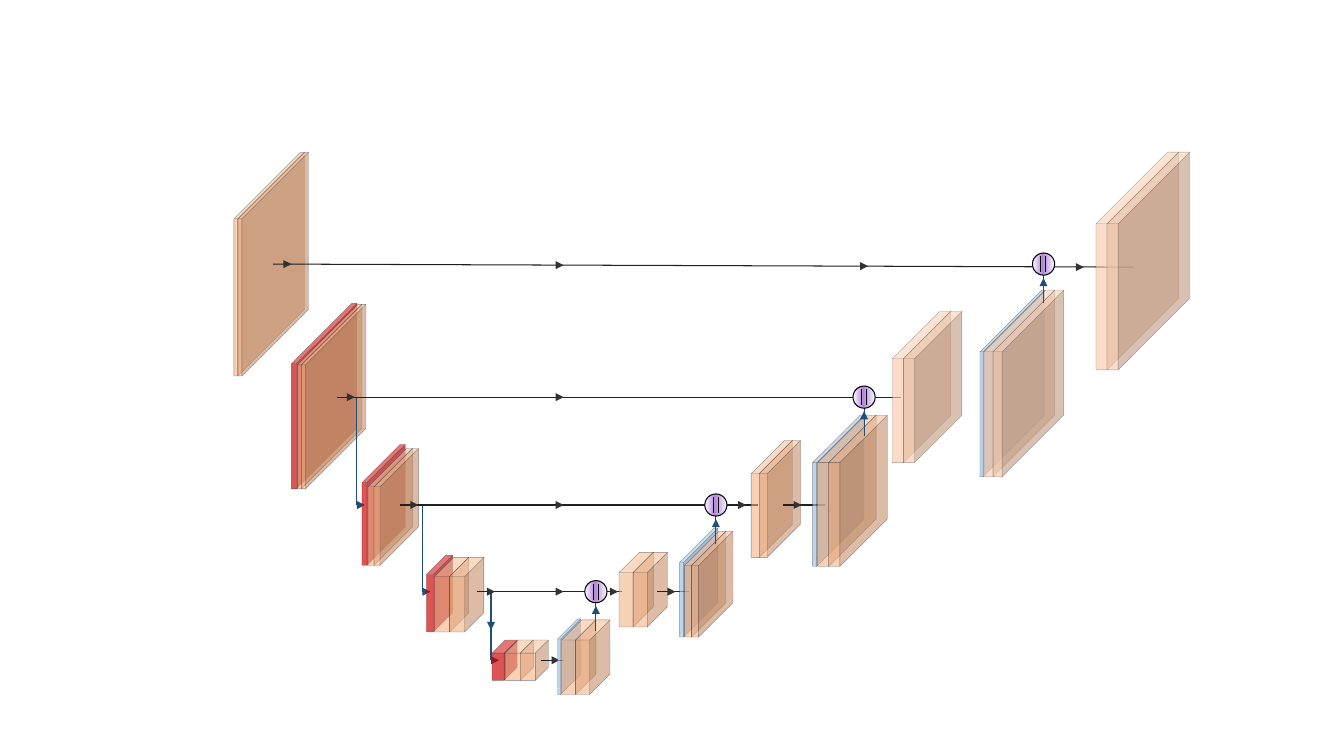
"""Build a slide with a U-shaped encoder-decoder network diagram."""
from copy import deepcopy
from dataclasses import dataclass
from enum import IntEnum
from typing import Optional

from lxml.etree import SubElement
from pptx import Presentation
from pptx.dml.color import RGBColor as RGB
from pptx.enum.shapes import MSO_CONNECTOR as Conn, MSO_SHAPE as Shp
from pptx.oxml.ns import qn
from pptx.util import Pt

PX = 9144
UP, RIGHT, DOWN = 0, 90, 180
HEAD, DISC = 8, 22
MIDWAY = 551


class Axis(IntEnum):
    """Height of the flow line of each level."""
    TOP = 262
    HIGH = 394
    MIDDLE = 501
    LOW = 587
    BOTTOM = 655


@dataclass(frozen=True)
class Stroke:
    color: str
    width: float = 0.25
    alpha: int = 100


@dataclass(frozen=True)
class Paint:
    color: str
    alpha: int
    edge: Stroke


@dataclass(frozen=True)
class Theme:
    pool: Paint = Paint("CC0000", 67, Stroke("202020", alpha=47))
    unpool: Paint = Paint("9DC3E6", 68, Stroke("202020", alpha=47))
    conv: Paint = Paint("F4B183", 58, Stroke("202020", alpha=52))
    soft: Paint = Paint("F8CBAD", 66, Stroke("000000", alpha=32))
    head: str = "323232"
    blue: str = "1F4E79"
    concat: tuple = ((0, "F7FAFD"), (0.54, "B584DA"), (1, "FFFFFF"))
    skip_wire: Stroke = Stroke("202020", 0.75)
    blue_wire: Stroke = Stroke("1F4E79", 0.75)
    ring: Stroke = Stroke("000000", 0)
    bar: Stroke = Stroke("000000", 0.4)


T = Theme()


@dataclass
class Stage:
    """Twin slabs, led by a thin slab that rises above them."""
    x: int
    y: int
    w: int
    h: int
    step: int
    paint: Paint = T.conv
    lead: Optional[Paint] = None
    gap: int = 0
    rise: int = 0


@dataclass
class Flow:
    """A wire along an axis, with a head near its start and others by place."""
    axis: Axis
    x1: int
    x2: int
    heads: tuple = ()
    fall: int = 0


@dataclass
class Drop:
    """A wire down to the next level."""
    x: int
    y1: Axis
    y2: Axis
    midway: bool = False


@dataclass
class Concat:
    """A concatenation node fed from below."""
    x: int
    axis: Axis


def set_alpha(sp, where: str, alpha: int) -> None:
    """Give the solid colour found at a place its opacity in percent."""
    color = sp._element.spPr.xpath(f"{where}a:solidFill/a:srgbClr")[0]
    SubElement(color, qn("a:alpha"), val=str(alpha * 1000))


def set_stroke(sp, stroke: Stroke) -> None:
    """Apply a stroke to a shape or connector."""
    sp.line.color.rgb = RGB.from_string(stroke.color)
    sp.line.width = Pt(stroke.width)
    set_alpha(sp, "./a:ln/", stroke.alpha)


def add_shape(shapes, kind: Shp, x: int, y: int, w: int, h: int, **fmt):
    """Add a shadowless preset shape with the given attributes."""
    sp = shapes.add_shape(kind, x * PX, y * PX, w * PX, h * PX)
    sp.shadow.inherit = False
    for name, value in fmt.items():
        setattr(sp, name, value)
    return sp


def add_slab(shapes, x: int, y: int, w: int, h: int, thick: int, paint: Paint) -> None:
    """Add a translucent slab of a given thickness."""
    sp = add_shape(shapes, Shp.CUBE, x, y, w, h)
    sp.adjustments[0] = 1 - thick / w
    sp.fill.solid()
    sp.fill.fore_color.rgb = RGB.from_string(paint.color)
    set_alpha(sp, "./", paint.alpha)
    set_stroke(sp, paint.edge)


def add_wire(shapes, x1: int, y1: int, x2: int, y2: int, stroke: Stroke) -> None:
    """Add a straight connector."""
    cx = shapes.add_connector(Conn.STRAIGHT, x1 * PX, y1 * PX, x2 * PX, y2 * PX)
    set_stroke(cx, stroke)
    SubElement(cx._element.spPr, qn("a:effectLst"))


def add_head(shapes, x: int, y: int, turn: int, color: str) -> None:
    """Add a small arrowhead triangle."""
    sp = add_shape(shapes, Shp.ISOSCELES_TRIANGLE, x, y, HEAD, HEAD, rotation=turn)
    sp.fill.solid()
    sp.fill.fore_color.rgb = RGB.from_string(color)
    sp.line.fill.background()


def draw_stage(shapes, st: Stage) -> None:
    """Draw a stage as one group."""
    group = shapes.add_group_shape().shapes
    if st.lead:
        thick = st.gap - 1
        add_slab(group, st.x - st.gap, st.y - st.rise, st.w - st.step + thick,
                 st.h + st.rise, thick, st.lead)
    for x in (st.x, st.x + st.step):
        add_slab(group, x, st.y, st.w, st.h, st.step, st.paint)


def draw_flow(shapes, flow: Flow) -> None:
    """Draw a horizontal wire and its heads."""
    add_wire(shapes, flow.x1, flow.axis, flow.x2, flow.axis + flow.fall, T.skip_wire)
    for x in (flow.x1 + 10, *flow.heads):
        y = flow.axis + round(flow.fall * (x - flow.x1) / (flow.x2 - flow.x1))
        add_head(shapes, x, y - HEAD // 2, RIGHT, T.head)


def draw_drop(shapes, drop: Drop) -> None:
    """Draw a downward wire and its heads."""
    half = HEAD // 2
    add_wire(shapes, drop.x, drop.y1, drop.x, drop.y2, T.blue_wire)
    add_head(shapes, drop.x, drop.y2 - half, RIGHT, T.blue)
    if drop.midway:
        add_head(shapes, drop.x - half, (drop.y1 + drop.y2) // 2 - half, DOWN, T.blue)


def draw_concat(shapes, node: Concat) -> None:
    """Draw a gradient disc with two bars, and its feed."""
    top = node.axis - DISC // 2
    add_wire(shapes, node.x, top + DISC, node.x, top + 50, T.blue_wire)
    add_head(shapes, node.x - HEAD // 2, top + 25, UP, T.blue)
    group = shapes.add_group_shape().shapes
    disc = add_shape(group, Shp.OVAL, node.x - DISC // 2, top, DISC, DISC)
    disc.fill.gradient()
    disc.fill.gradient_angle = 180
    stops = disc._element.spPr.xpath("./a:gradFill/a:gsLst")[0]
    stops.append(deepcopy(stops[-1]))
    for stop, (position, color) in zip(disc.fill.gradient_stops, T.concat):
        stop.position = position
        stop.color.rgb = RGB.from_string(color)
    set_stroke(disc, T.ring)
    for x in (node.x - 3, node.x + 2):
        add_wire(group, x, top + 3, x, top + DISC - 3, T.bar)


DRAW = {Stage: draw_stage, Flow: draw_flow, Drop: draw_drop, Concat: draw_concat}

NETWORK = (
    Stage(232, 151, 70, 222, 4),
    Stage(295, 302, 64, 183, 4, T.conv, T.pool, 6, 1),
    Drop(354, Axis.HIGH, Axis.MIDDLE),
    Stage(365, 445, 44, 116, 6, T.conv, T.pool, 6, 4),
    Drop(419, Axis.MIDDLE, Axis.LOW),
    Stage(431, 553, 34, 74, 15, T.conv, T.pool, 8, 2),
    Drop(487, Axis.LOW, Axis.BOTTOM, midway=True),
    Stage(501, 635, 28, 40, 15, T.conv, T.pool, 13),
    Flow(Axis.TOP, 271, 1124, (MIDWAY, 853, 1067), fall=3),
    Flow(Axis.HIGH, 334, 894, (MIDWAY,)),
    Flow(Axis.MIDDLE, 397, 752, (MIDWAY, 732)),
    Flow(Axis.LOW, 473, 617, (MIDWAY, 605)),
    Flow(Axis.BOTTOM, 537, 559),
    Stage(557, 615, 34, 74, 14, T.conv, T.unpool, 4, 1),
    Stage(614, 548, 34, 74, 14),
    Flow(Axis.LOW, 652, 683),
    Stage(679, 527, 41, 105, 7, T.conv, T.unpool, 5, 3),
    Stage(745, 437, 41, 116, 8),
    Flow(Axis.MIDDLE, 777, 818),
    Stage(811, 412, 58, 150, 11, T.conv, T.unpool, 5),
    Stage(885, 309, 58, 150, 11, T.soft),
    Stage(976, 288, 70, 185, 9, T.soft, T.unpool, 4),
    Stage(1087, 151, 82, 216, 11, T.soft),
    Concat(591, Axis.LOW),
    Concat(710, Axis.MIDDLE),
    Concat(857, Axis.HIGH),
    Concat(1035, Axis.TOP),
)

prs = Presentation()
prs.slide_width, prs.slide_height = 1333 * PX, 750 * PX
s = prs.slides.add_slide(prs.slide_layouts[6])
for part in NETWORK:
    DRAW[type(part)](s.shapes, part)
prs.save("out.pptx")
